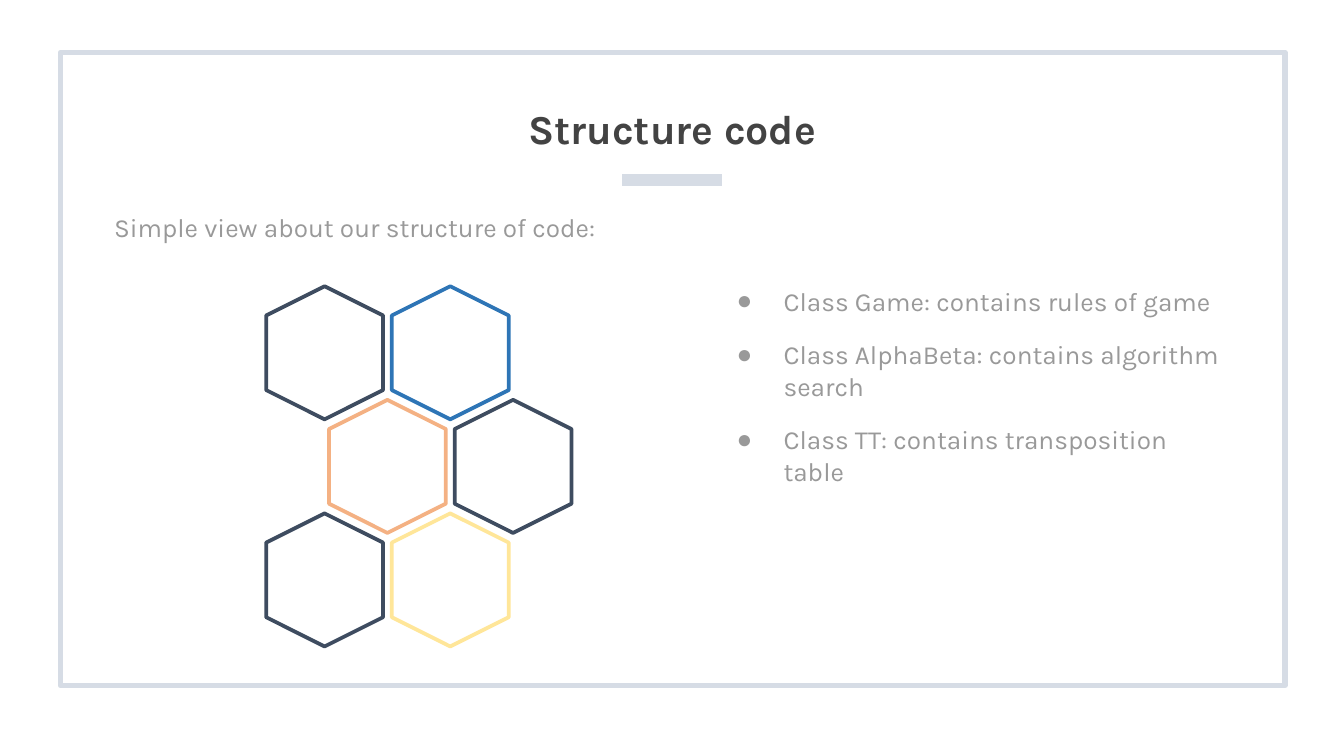
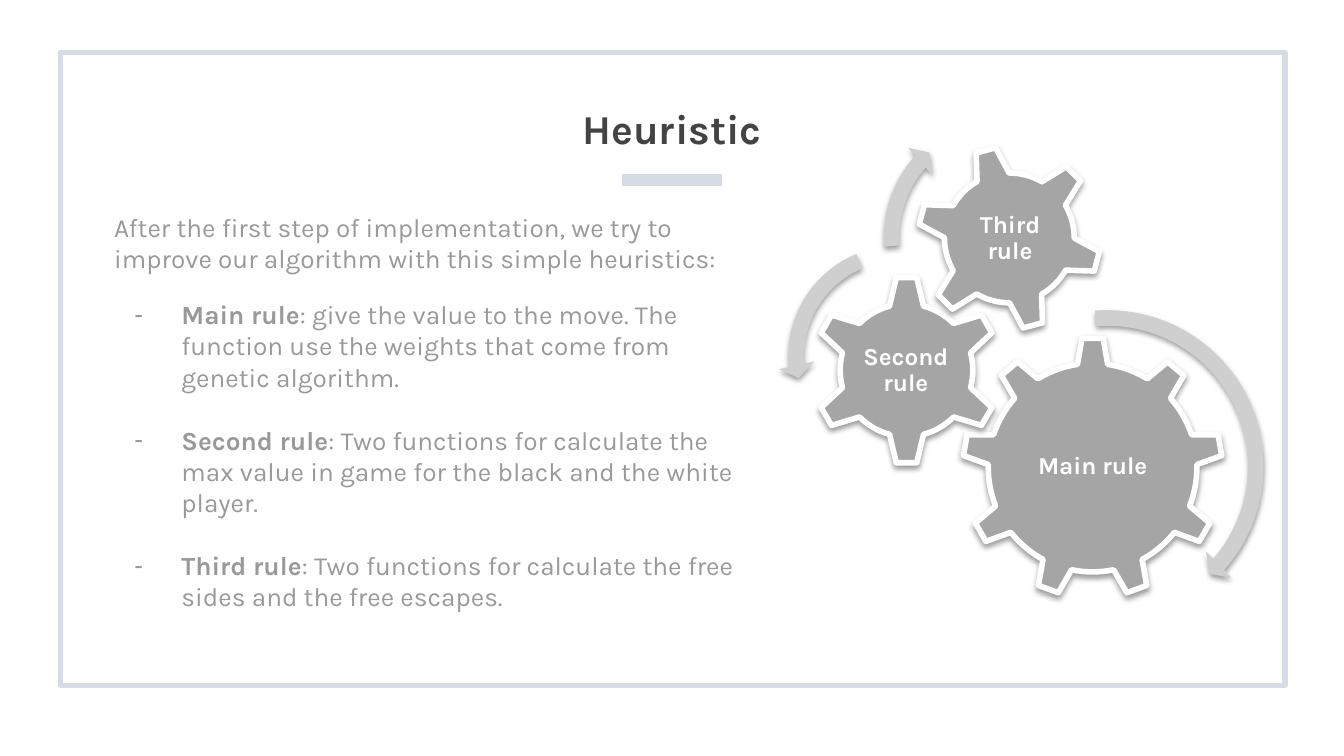
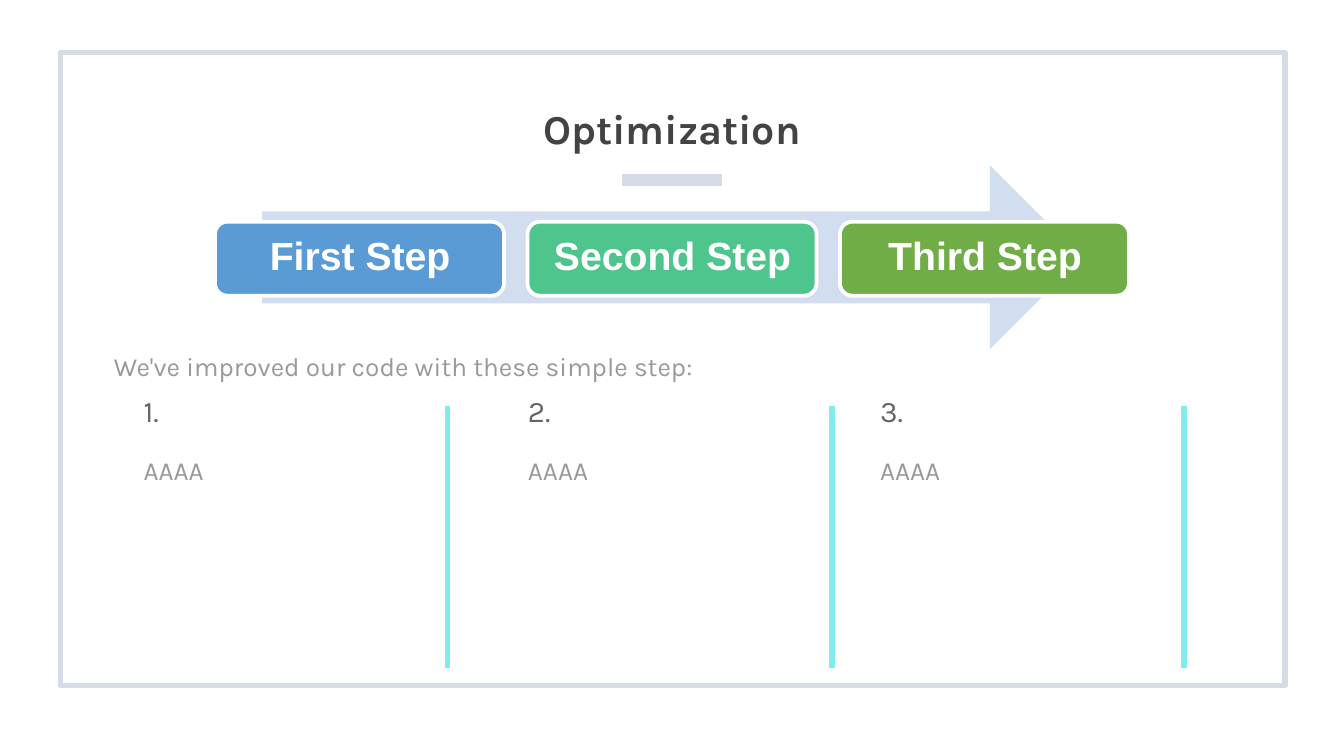
from lxml import etree
from pptx import Presentation
from pptx.dml.color import RGBColor
from pptx.enum.shapes import MSO_CONNECTOR, MSO_SHAPE
from pptx.enum.text import MSO_ANCHOR, MSO_AUTO_SIZE, PP_ALIGN
from pptx.oxml.ns import qn
from pptx.util import Emu, Inches, Pt

SLIDE_WIDTH = Inches(10)
SLIDE_HEIGHT = SLIDE_WIDTH * 9 // 16
UNIT = SLIDE_WIDTH // 10
LEFT, CENTER = PP_ALIGN.LEFT, PP_ALIGN.CENTER
TOP, MIDDLE, BOTTOM = MSO_ANCHOR.TOP, MSO_ANCHOR.MIDDLE, MSO_ANCHOR.BOTTOM
RECTANGLE, ROUNDED = MSO_SHAPE.RECTANGLE, MSO_SHAPE.ROUNDED_RECTANGLE
HEXAGON, RIGHT_ARROW = MSO_SHAPE.HEXAGON, MSO_SHAPE.RIGHT_ARROW
GEAR_6, GEAR_9 = MSO_SHAPE.GEAR_6, MSO_SHAPE.GEAR_9
TURN_RIGHT, TURN_LEFT = MSO_SHAPE.CIRCULAR_ARROW, MSO_SHAPE.LEFT_CIRCULAR_ARROW
STRAIGHT = MSO_CONNECTOR.STRAIGHT
NO_AUTO_SIZE = MSO_AUTO_SIZE.NONE

FONT = "Karla"
WHITE, FRAME, TITLE, BODY, NUMBER = "FFFFFF", "D6DCE5", "434343", "999999", "666666"
NAVY, BLUE, ORANGE, YELLOW = "3E4C60", "2E75B6", "F4B183", "FFE699"
GEAR, TURN, DIVIDER, BAND = "A5A5A5", "CFCFCF", "81ECEC", "D2DEEF"
MARGIN = 0.75
FIRST_FOOTER_INDEX = 10


def color(value):
    """Turn a hex string into a colour."""
    return RGBColor.from_string(value)


def grid(*lengths):
    """Turn grid units, ten to the slide's width, into lengths."""
    return [Emu(round(length * UNIT)) for length in lengths]


def add_bullet(paragraph, character, tint):
    """Give a paragraph a hanging bullet."""
    properties = paragraph._p.get_or_add_pPr()
    properties.set("marL", str(Inches(0.5)))
    properties.set("indent", str(-Inches(0.35)))
    bullet_color = etree.SubElement(properties, qn("a:buClr"))
    etree.SubElement(bullet_color, qn("a:srgbClr"), val=tint)
    etree.SubElement(properties, qn("a:buChar"), char=character)


def write(shape, paragraphs, *, size=14, tint=BODY, bold=False, font=FONT, align=LEFT,
          anchor=TOP, inset=0.1, bullet=None, space_after=0, line_spacing=1.0):
    """Fill a shape with paragraphs, each a string or a list of (text, bold) runs."""
    frame = shape.text_frame
    frame.word_wrap = True
    frame.auto_size = NO_AUTO_SIZE
    frame.vertical_anchor = anchor
    frame.margin_left = frame.margin_right = Inches(inset)
    frame.margin_top = frame.margin_bottom = Inches(inset)
    for index, content in enumerate(paragraphs):
        paragraph = frame.add_paragraph() if index else frame.paragraphs[0]
        paragraph.alignment = align
        paragraph.line_spacing = line_spacing
        paragraph.space_before = Pt(0)
        paragraph.space_after = Pt(space_after)
        if bullet:
            add_bullet(paragraph, bullet, tint)
        runs = [(content, bold)] if isinstance(content, str) else content
        for text, is_bold in runs:
            run = paragraph.add_run()
            run.text = text
            run.font.name, run.font.size, run.font.bold = font, Pt(size), is_bold
            run.font.color.rgb = color(tint)


def add_text(shapes, box, *paragraphs, **text_format):
    """Add a text box."""
    write(shapes.add_textbox(*grid(*box)), paragraphs, **text_format)


def fill_placeholder(placeholder, box, *paragraphs, **text_format):
    """Move a placeholder and fill it with text."""
    placeholder.left, placeholder.top, placeholder.width, placeholder.height = grid(*box)
    write(placeholder, paragraphs, **text_format)


def add_shape(shapes, kind, box, *, fill=None, line=None, width=2, rotation=0, adjustments=()):
    """Add a preset shape without a shadow."""
    shape = shapes.add_shape(kind, *grid(*box))
    shape.shadow.inherit = False
    shape.rotation = rotation
    for index, value in enumerate(adjustments):
        shape.adjustments[index] = value
    if fill:
        shape.fill.solid()
        shape.fill.fore_color.rgb = color(fill)
    else:
        shape.fill.background()
    if line:
        shape.line.color.rgb = color(line)
        shape.line.width = Pt(width)
    else:
        shape.line.fill.background()
    return shape


def add_line(shapes, start, end, tint, width):
    """Add a straight line without a shadow."""
    connector = shapes.add_connector(STRAIGHT, *grid(*start, *end))
    connector.line.color.rgb = color(tint)
    connector.line.width = Pt(width)
    etree.SubElement(connector.element.spPr, qn("a:effectLst"))
    return connector


def cast_shadow(shape):
    """Give a shape a soft shadow below it."""
    effects = shape.element.spPr.find(qn("a:effectLst"))
    shadow = etree.SubElement(effects, qn("a:outerShdw"), blurRad=str(Pt(3.1)),
                              dist=str(Pt(1.6)), dir="5400000", rotWithShape="0")
    tint = etree.SubElement(shadow, qn("a:srgbClr"), val="000000")
    etree.SubElement(tint, qn("a:alpha"), val="38000")


def decorate_layout(layout, slide):
    """Put the frame and the title's accent bar on the layout."""
    for placeholder in list(layout.placeholders):
        if placeholder.placeholder_format.idx >= FIRST_FOOTER_INDEX:
            placeholder.element.getparent().remove(placeholder.element)
    frame = add_shape(slide.shapes, RECTANGLE, (0.45, 0.39, 9.11, 4.71), line=FRAME, width=3)
    accent = add_line(slide.shapes, (4.63, 1.34), (5.37, 1.34), FRAME, 6)
    for shape in (frame, accent):
        layout.shapes.element.append(shape.element)


def add_titled_slide(presentation, layout, title):
    """Add a slide with its title."""
    slide = presentation.slides.add_slide(layout)
    fill_placeholder(slide.shapes.title, (0, 0.24, 10, 1), title, size=22, tint=TITLE,
                     bold=True, align=CENTER, anchor=BOTTOM)
    return slide


def add_honeycomb(slide):
    """Add rows of hexagons, every other row shifted by half a cell."""
    shapes = slide.shapes.add_group_shape().shapes
    rows = ((NAVY, BLUE), (ORANGE, NAVY), (NAVY, YELLOW))
    for row, tints in enumerate(rows):
        for column, tint in enumerate(tints):
            left = 1.92 + 1.87 / 2 * (column + row % 2 / 2)
            box = (left, 2.19 + 1.69 / 2 * row, 0.99, 0.87)
            add_shape(shapes, HEXAGON, box, fill=WHITE, line=tint, rotation=90)


def add_gears(slide):
    """Add the gears with their labels and turning arrows."""
    shapes = slide.shapes.add_group_shape().shapes
    gears = (
        (GEAR_9, (7.16, 2.51, 1.94), 0, "Main rule", (7.55, 2.97, 1.16, 1)),
        (GEAR_6, (6.04, 2.05, 1.41), 0, "Second rule", (6.39, 2.41, 0.7, 0.7)),
        (GEAR_6, (6.82, 1.08, 1.38), 345, "Third rule", (7.13, 1.39, 0.77, 0.77)),
    )
    for kind, (left, top, side), rotation, label, label_box in gears:
        cast_shadow(add_shape(shapes, kind, (left, top, side, side), fill=GEAR, line=WHITE,
                              width=3, rotation=rotation))
        add_text(shapes, label_box, label, size=13, tint=WHITE, bold=True, align=CENTER,
                 anchor=MIDDLE, inset=0.02, line_spacing=0.9)
    turns = (
        (TURN_RIGHT, (7, 2.23, 2.48), (0.047, 2.99, 24.874, 159.247, 0.055)),
        (TURN_LEFT, (5.79, 1.75, 1.8), (0.065, 4.3, 104.891, 148.378, 0.075)),
        (TURN_RIGHT, (6.5, 0.79, 1.94), (0.06, 3.941, 133.138, 105.082, 0.07)),
    )
    for kind, (left, top, side), adjustments in turns:
        cast_shadow(add_shape(shapes, kind, (left, top, side, side), fill=TURN,
                              adjustments=adjustments))


def add_steps(slide):
    """Add the wide arrow with the steps on it."""
    shapes = slide.shapes.add_group_shape().shapes
    add_shape(shapes, RIGHT_ARROW, (1.95, 1.23, 6.1, 1.37), fill=BAND)
    steps = (("First Step", "5B9BD5"), ("Second Step", "4DC58D"), ("Third Step", "70AD47"))
    for index, (label, tint) in enumerate(steps):
        left = 1.6 + 4.65 / 2 * index
        add_shape(shapes, ROUNDED, (left, 1.65, 2.15, 0.55), fill=tint, line=WHITE)
        add_text(shapes, (left + 0.03, 1.67, 2.1, 0.5), label, size=21, tint=WHITE, bold=True,
                 font="Arial", align=CENTER, anchor=MIDDLE, inset=0.09, line_spacing=0.9)


def add_step_columns(slide):
    """Add the numbered columns, each closed by a divider."""
    for number, left in enumerate((0.97, 3.83, 6.45), start=1):
        divider = left + 2.36
        add_line(slide.shapes, (divider, 3.02), (divider, 4.97), DIVIDER, 3)
        add_text(slide.shapes, (left, 2.92, 2.33, 0.37), f"{number}.", size=16, tint=NUMBER,
                 anchor=BOTTOM)
        add_text(slide.shapes, (left, 3.28, 2.28, 1.7), "AAAA")


def build_structure(slide):
    """Build the slide on the code's structure."""
    add_text(slide.shapes, (MARGIN, 1.47, 8.49, 0.41), "Simple view about our structure of code:")
    add_honeycomb(slide)
    fill_placeholder(
        slide.placeholders[1], (5.23, 2.02, 4.02, 2.9),
        "Class Game: contains rules of game",
        "Class AlphaBeta: contains algorithm search",
        "Class TT: contains transposition table",
        bullet="●", space_after=12)


def build_heuristic(slide):
    """Build the slide on the heuristic's rules."""
    add_text(slide.shapes, (MARGIN, 1.47, 4.82, 0.41),
             "After the first step of implementation, we try to improve our algorithm "
             "with this simple heuristics:")
    rules = (
        ("Main rule", ": give the value to the move. The function use the weights that "
                      "come from genetic algorithm."),
        ("Second rule", ": Two functions for calculate the max value in game for the black "
                        "and the white player."),
        ("Third rule", ": Two functions for calculate the free sides and the free escapes."),
    )
    fill_placeholder(slide.placeholders[1], (MARGIN, 2.12, 4.82, 2.6),
                     *([(name, True), (text, False)] for name, text in rules),
                     bullet="-", space_after=16.8)
    add_gears(slide)


def build_optimization(slide):
    """Build the slide on the optimization steps."""
    body = slide.placeholders[1].element
    body.getparent().remove(body)
    add_text(slide.shapes, (MARGIN, 2.51, 7.83, 0.41),
             "We've improved our code with these simple step:")
    add_steps(slide)
    add_step_columns(slide)


def main():
    """Build and save the presentation."""
    presentation = Presentation()
    presentation.slide_width, presentation.slide_height = SLIDE_WIDTH, SLIDE_HEIGHT
    layout = presentation.slide_layouts[1]
    structure, heuristic, optimization = (
        add_titled_slide(presentation, layout, title)
        for title in ("Structure code", "Heuristic", "Optimization"))
    decorate_layout(layout, structure)
    build_structure(structure)
    build_heuristic(heuristic)
    build_optimization(optimization)
    presentation.save("out.pptx")


if __name__ == "__main__":
    main()
